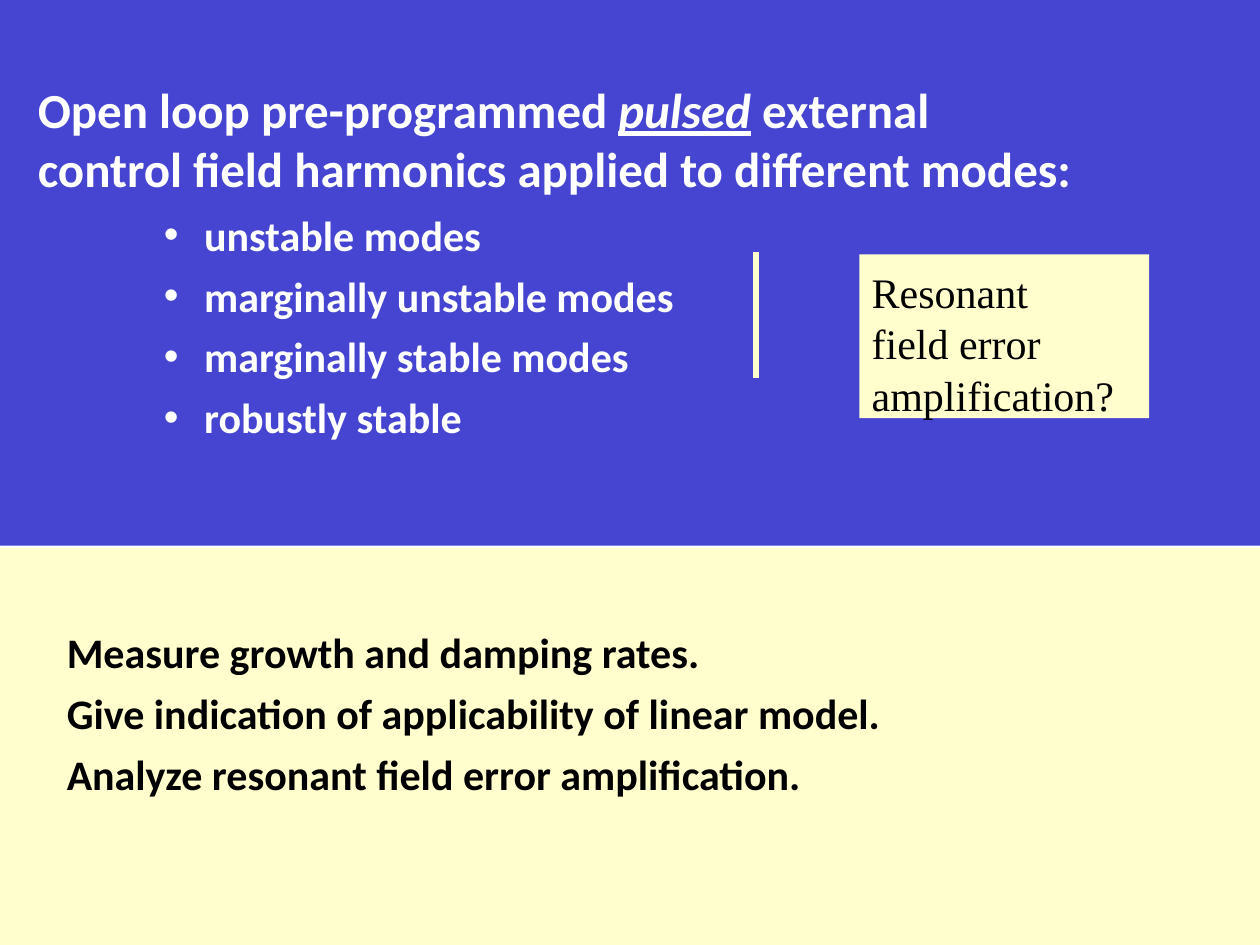
from copy import deepcopy

from lxml import etree
from pptx import Presentation
from pptx.dml.color import RGBColor
from pptx.enum.text import MSO_ANCHOR, MSO_AUTO_SIZE, PP_ALIGN
from pptx.oxml.ns import qn
from pptx.util import Inches, Pt

TOP = MSO_ANCHOR.TOP
FIXED = MSO_AUTO_SIZE.NONE
LEFT = PP_ALIGN.LEFT
HEX = {"blue": "4545D1", "cream": "FFFECC", "white": "FFFFFF", "black": "000000"}
RGB = {name: RGBColor.from_string(code) for name, code in HEX.items()}


def put(box, lines, size=24, font="Calibri", color="black", bold=True, at=(0, 0, 1, 1),
        fill=None, inset=(0.1, 0.05), gap=0, left=0, hang=0, bullet=None, lead=1):
    """Place a box and fill it; _word_ is italic and underlined, a newline breaks the line."""
    box.left, box.top, box.width, box.height = map(Inches, at)
    if fill:
        box.fill.solid()
        box.fill.fore_color.rgb = RGB[fill]
    frame = box.text_frame
    frame.word_wrap, frame.auto_size, frame.vertical_anchor = True, FIXED, TOP
    frame.margin_left = frame.margin_right = Inches(inset[0])
    frame.margin_top, frame.margin_bottom = Inches(inset[1]), Inches(0.05)
    for row, line in enumerate(lines):
        para = frame.paragraphs[0] if row == 0 else frame.add_paragraph()
        para.alignment, para.line_spacing = LEFT, lead
        para.space_before = Pt(gap if row else 0)
        para.space_after = Pt(gap)
        props = para._p.get_or_add_pPr()
        props.set("marL", str(Inches(left)))
        props.set("indent", str(Inches(-hang)))
        if bullet:
            etree.SubElement(props, qn("a:buChar")).set("char", bullet)
        else:
            etree.SubElement(props, qn("a:buNone"))
        for part, piece in enumerate(line.split("_")):
            for turn, text in enumerate(piece.split("\n")):
                if turn:
                    para.add_line_break()
                run = para.add_run()
                run.text = text
                run.font.name, run.font.size, run.font.bold = font, Pt(size), bold
                run.font.color.rgb = RGB[color]
                if part % 2:
                    run.font.italic = run.font.underline = True
        # A break takes the format of the text before it
        for stop in para._p.findall(qn("a:br")):
            stop.append(deepcopy(stop.getprevious().find(qn("a:rPr"))))


def curve(a, b, c, d, steps=12):
    """Points along a cubic curve, without its start."""
    for step in range(1, steps + 1):
        t = step / steps
        u = 1 - t
        yield tuple(u**3 * p + 3 * u * u * t * q + 3 * u * t * t * r + t**3 * s
                    for p, q, r, s in zip(a, b, c, d))


deck = Presentation()
deck.slide_width, deck.slide_height = Inches(10), Inches(7.5)
slide = deck.slides.add_slide(deck.slide_layouts[3])
title, modes, goals = slide.placeholders

put(modes, ["unstable modes", "marginally unstable modes",
            "marginally stable modes", "robustly stable"],
    color="white", at=(0, 0, 10, 4.33), fill="blue", inset=(0.1, 1.66),
    gap=3, left=1.52, hang=0.32, bullet="•")
put(goals, ["Measure growth and damping rates.",
            "Give indication of applicability of linear model.",
            "Analyze resonant field error amplification."],
    at=(0, 4.35, 10, 3.15), fill="cream", inset=(0.1, 0.62), gap=3, left=0.43)
put(title, ["Open loop pre-programmed _pulsed_ external\n"
            "control field harmonics applied to different modes:"],
    size=28, color="white", at=(0.2, 0.58, 9.6, 1.05))
# The title lies on the blue band
slide.shapes._spTree.append(title._element)

note = slide.shapes.add_textbox(0, 0, 0, 0)
put(note, ["Resonant\nfield error amplification?"], font="Times New Roman",
    bold=False, at=(6.82, 2.02, 2.3, 1.3), fill="cream", inset=(0.1, 0.08), lead=1.03)

start = (5.98, 2.22)
bends = [
    ((6.07, 2.24), (6.12, 2.25), (6.17, 2.33)),
    ((6.23, 2.46), (6.15, 2.6), (6.31, 2.65)),
    ((6.26, 2.7), (6.23, 2.7), (6.2, 2.78)),
    ((6.19, 2.92), (6.19, 2.93), (6.15, 3.07)),
    ((6.14, 3.09), (6.14, 3.12), (6.13, 3.13)),
    ((6.11, 3.15), (6.06, 3.15), (6.04, 3.15)),
]
dots = [start]
for bend in bends:
    dots.extend(curve(dots[-1], *bend))
pen = slide.shapes.build_freeform(*start, scale=Inches(1))
pen.add_line_segments(dots[1:], close=False)
brace = pen.convert_to_shape()
brace.shadow.inherit = False
brace.fill.background()
brace.line.color.rgb = RGB["cream"]
brace.line.width = Pt(3.5)

deck.save("out.pptx")
